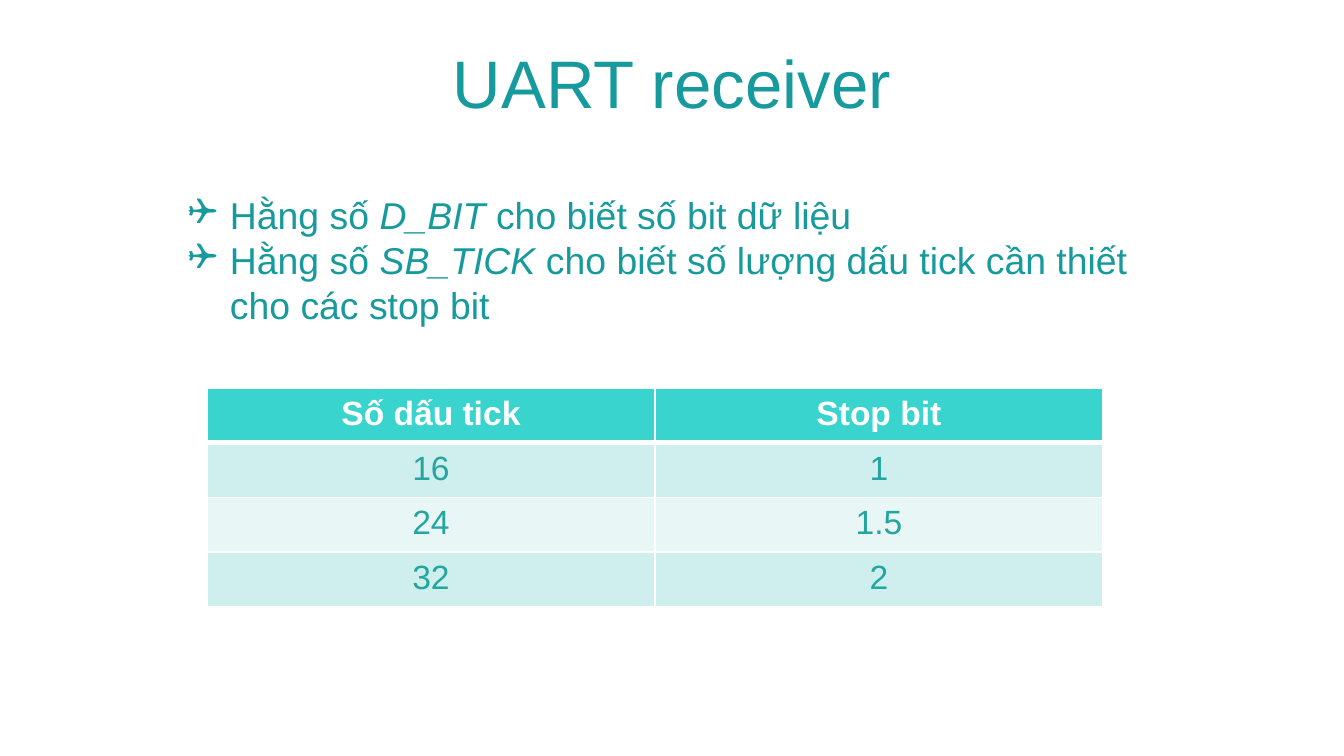
from lxml.etree import SubElement
from pptx import Presentation
from pptx.dml.color import RGBColor
from pptx.enum.text import MSO_ANCHOR, PP_ALIGN
from pptx.oxml.ns import qn
from pptx.util import Pt


def color(hex_value):
    return RGBColor.from_string(hex_value)


class SlideBuilder:
    font = "Arial"
    teal = "179A9D"
    cell_text = "24A59F"
    header_fill = "38D4CD"
    band_fills = ("CEEFED", "E8F7F6")
    white = "FFFFFF"

    def __init__(self, deck):
        self.slide = deck.slides.add_slide(deck.slide_layouts[6])

    def add_span(self, para, text, hex_value, **formats):
        span = para.add_run()
        span.text = text
        span.font.color.rgb = color(hex_value)
        for name, value in {"name": self.font, **formats}.items():
            setattr(span.font, name, value)

    def add_box(self, left, top, width, height):
        box = self.slide.shapes.add_textbox(Pt(left), Pt(top), Pt(width), Pt(height))
        box.text_frame.word_wrap = True
        return box.text_frame

    def add_title(self, text, *place):
        frame = self.add_box(*place)
        frame.vertical_anchor = MSO_ANCHOR.MIDDLE
        para = frame.paragraphs[0]
        para.alignment = PP_ALIGN.CENTER
        para.space_before = Pt(7.2)
        self.add_span(para, text, self.teal, size=Pt(36))

    def add_bullets(self, items, *place):
        """Add bulleted items, each a list of (text, italic) pairs."""
        frame = self.add_box(*place)
        for index, item in enumerate(items):
            para = frame.add_paragraph() if index else frame.paragraphs[0]
            properties = para._p.get_or_add_pPr()
            properties.set("marL", str(Pt(22.5)))
            properties.set("indent", str(-Pt(22.5)))
            SubElement(properties, qn("a:buFont"), typeface="Wingdings")
            SubElement(properties, qn("a:buChar"), char="❑")
            for text, italic in item:
                self.add_span(para, text, self.teal, size=Pt(20), italic=italic)

    def set_borders(self, cell, widths):
        """Draw white cell borders; call before the fill is set."""
        properties = cell._tc.get_or_add_tcPr()
        for side, width in widths.items():
            line = SubElement(properties, qn(f"a:ln{side}"), w=str(Pt(width)))
            fill = SubElement(line, qn("a:solidFill"))
            SubElement(fill, qn("a:srgbClr"), val=self.white)

    def add_table(self, rows, left, top, width, height):
        shape = self.slide.shapes.add_table(
            len(rows), len(rows[0]), Pt(left), Pt(top), Pt(width), Pt(height))
        for row_index, row in enumerate(rows):
            header = row_index == 0
            fill = self.header_fill if header else self.band_fills[(row_index - 1) % 2]
            widths = {"L": 1, "R": 1, "T": 3 if row_index == 1 else 1,
                      "B": 3 if header else 1}
            for column_index, text in enumerate(row):
                cell = shape.table.cell(row_index, column_index)
                self.set_borders(cell, widths)
                cell.fill.solid()
                cell.fill.fore_color.rgb = color(fill)
                para = cell.text_frame.paragraphs[0]
                para.alignment = PP_ALIGN.CENTER
                self.add_span(para, text, self.white if header else self.cell_text,
                              size=Pt(18), bold=header)


def main():
    deck = Presentation()
    deck.slide_width, deck.slide_height = Pt(720), Pt(405)
    builder = SlideBuilder(deck)
    builder.add_bullets([
        [("Hằng số ", False), ("D_BIT ", True), ("cho biết số bit dữ liệu", False)],
        [("Hằng số ", False), ("SB_TICK ", True),
         ("cho biết số lượng dấu tick cần thiết cho các stop bit", False)],
    ], 93.6, 99.4, 532.8, 97.2)
    builder.add_title("UART receiver", 0, 20.9, 720, 45.4)
    builder.add_table([
        ("Số dấu tick", "Stop bit"),
        ("16", "1"),
        ("24", "1.5"),
        ("32", "2"),
    ], 110.9, 208.1, 480, 116.8)
    deck.save("out.pptx")


if __name__ == "__main__":
    main()
